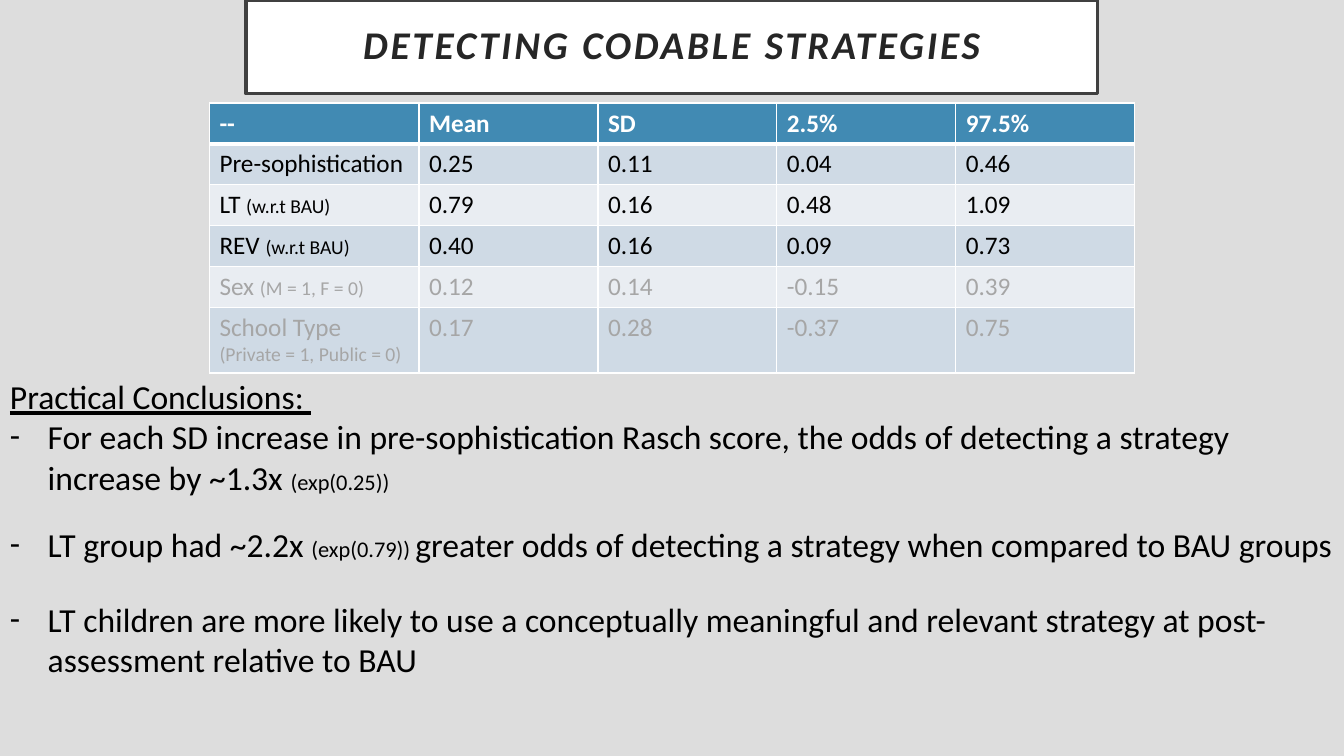
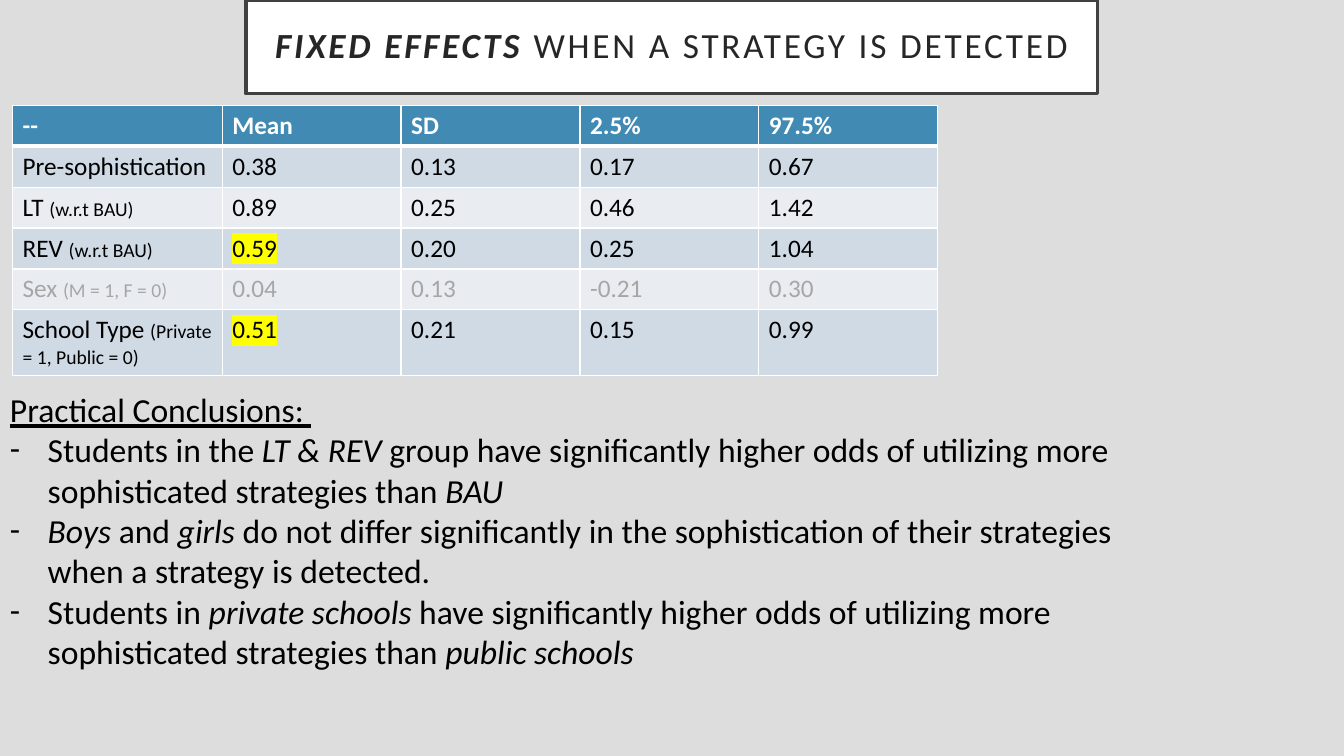
from dataclasses import dataclass
from typing import NamedTuple

import lxml.etree
import pptx
import pptx.dml.color
import pptx.enum.shapes
import pptx.enum.text
import pptx.oxml.ns
import pptx.util

Pt = pptx.util.Pt
qn = pptx.oxml.ns.qn


@dataclass(frozen=True)
class Theme:
    font: str = "Calibri"
    background: str = "DDDDDD"
    white: str = "FFFFFF"
    title_line: str = "404040"
    title_text: str = "262626"
    header: str = "418AB3"
    bands: tuple[str, str] = ("CFDAE5", "E9EDF2")
    text: str = "000000"
    faded: str = "A6A6A6"
    marker: str = "FFFF00"
    body_size: float = 24
    aside_size: float = 16
    cell_size: float = 18
    note_size: float = 14


THEME = Theme()
SLIDE_WIDTH, SLIDE_HEIGHT = 960, 540
TITLE_BOX = (175.7, 0, 608.4, 67)
COLUMN_WIDTHS = (149.7, 127.8, 127.8, 127.8, 127.8)
ROW_HEIGHT, LAST_ROW_HEIGHT = 29.2, 46.8
HEADINGS = ("--", "Mean", "SD", "2.5%", "97.5%")
BULLET_INDENT = 27


class Run(NamedTuple):
    text: str
    size: float = THEME.body_size
    bold: bool = False
    italic: bool = False
    underline: bool = False
    color: str = THEME.text
    highlight: str = ""


class Bullet(NamedTuple):
    runs: list[Run]
    space_before: float = 0


class Effect(NamedTuple):
    label: str
    note: str
    values: tuple[str, str, str, str]
    faded: bool = False
    note_below: bool = False
    mean_marked: bool = False


@dataclass(frozen=True)
class ResultSlide:
    title: list[Run]
    table_left: float
    table_top: float
    effects: list[Effect]
    text_top: float
    text_width: float
    bullets: list[Bullet]


def rgb(color: str) -> pptx.dml.color.RGBColor:
    return pptx.dml.color.RGBColor.from_string(color)


def title_run(text: str, size: float, strong: bool) -> Run:
    return Run(text, size, bold=strong, italic=strong, color=THEME.title_text)


def plain(text: str) -> Run:
    return Run(text)


def italic(text: str) -> Run:
    return Run(text, italic=True)


def aside(text: str) -> Run:
    return Run(text, THEME.aside_size)


def write_runs(paragraph, runs: list[Run], tracking: int = 0) -> None:
    """Add formatted runs; tracking is in hundredths of a point."""
    for item in runs:
        run = paragraph.add_run()
        run.text = item.text
        font = run.font
        font.name = THEME.font
        font.size = Pt(item.size)
        font.bold, font.italic, font.underline = item.bold, item.italic, item.underline
        font.color.rgb = rgb(item.color)
        properties = run._r.get_or_add_rPr()
        if tracking:
            properties.set("spc", str(tracking))
        if item.highlight:
            highlight = lxml.etree.Element(qn("a:highlight"))
            lxml.etree.SubElement(highlight, qn("a:srgbClr"), val=item.highlight)
            properties.find(qn("a:solidFill")).addnext(highlight)


def add_title(slide, runs: list[Run]) -> None:
    shape = slide.shapes.add_shape(
        pptx.enum.shapes.MSO_SHAPE.RECTANGLE, *map(Pt, TITLE_BOX)
    )
    shape.shadow.inherit = False
    shape.fill.solid()
    shape.fill.fore_color.rgb = rgb(THEME.white)
    shape.line.color.rgb = rgb(THEME.title_line)
    shape.line.width = Pt(2.5)
    frame = shape.text_frame
    frame.word_wrap = True
    frame.vertical_anchor = pptx.enum.text.MSO_ANCHOR.MIDDLE
    frame.margin_left = frame.margin_right = Pt(14.4)
    frame.margin_top = frame.margin_bottom = Pt(14.4)
    paragraph = frame.paragraphs[0]
    paragraph.alignment = pptx.enum.text.PP_ALIGN.CENTER
    paragraph.line_spacing = 0.9
    write_runs(paragraph, runs, tracking=200)


def style_cell(cell, fill: str, top: float = 1, bottom: float = 1) -> None:
    properties = cell._tc.get_or_add_tcPr()
    for side, width in (("L", 1), ("R", 1), ("T", top), ("B", bottom)):
        line = lxml.etree.SubElement(properties, qn(f"a:ln{side}"), w=str(Pt(width)))
        solid = lxml.etree.SubElement(line, qn("a:solidFill"))
        lxml.etree.SubElement(solid, qn("a:srgbClr"), val=THEME.white)
    cell.fill.solid()
    cell.fill.fore_color.rgb = rgb(fill)


def write_label(cell, effect: Effect, color: str) -> None:
    frame = cell.text_frame
    paragraph = frame.paragraphs[0]
    write_runs(paragraph, [Run(effect.label, THEME.cell_size, color=color)])
    if effect.note:
        target = frame.add_paragraph() if effect.note_below else paragraph
        write_runs(target, [Run(effect.note, THEME.note_size, color=color)])


def add_effects_table(slide, left: float, top: float, effects: list[Effect]) -> None:
    heights = [ROW_HEIGHT] * len(effects) + [LAST_ROW_HEIGHT]
    table = slide.shapes.add_table(
        len(heights), len(HEADINGS), Pt(left), Pt(top),
        Pt(sum(COLUMN_WIDTHS)), Pt(sum(heights)),
    ).table
    for column, width in zip(table.columns, COLUMN_WIDTHS):
        column.width = Pt(width)
    for row, height in zip(table.rows, heights):
        row.height = Pt(height)

    for index, heading in enumerate(HEADINGS):
        cell = table.cell(0, index)
        style_cell(cell, THEME.header, bottom=3)
        run = Run(heading, THEME.cell_size, bold=True, color=THEME.white)
        write_runs(cell.text_frame.paragraphs[0], [run])

    for row_index, effect in enumerate(effects, start=1):
        color = THEME.faded if effect.faded else THEME.text
        for cell in table.rows[row_index].cells:
            style_cell(cell, THEME.bands[(row_index - 1) % 2], top=3 if row_index == 1 else 1)
        write_label(table.cell(row_index, 0), effect, color)
        for column_index, value in enumerate(effect.values, start=1):
            marked = effect.mean_marked and column_index == 1
            run = Run(value, THEME.cell_size, color=color,
                      highlight=THEME.marker if marked else "")
            write_runs(table.cell(row_index, column_index).text_frame.paragraphs[0], [run])


def add_dash(paragraph) -> None:
    properties = paragraph._p.get_or_add_pPr()
    properties.set("marL", str(Pt(BULLET_INDENT)))
    properties.set("indent", str(-Pt(BULLET_INDENT)))
    lxml.etree.SubElement(properties, qn("a:buFont"), typeface=THEME.font)
    lxml.etree.SubElement(properties, qn("a:buChar"), char="-")


def add_conclusions(slide, top: float, width: float, bullets: list[Bullet]) -> None:
    box = slide.shapes.add_textbox(0, Pt(top), Pt(width), Pt(SLIDE_HEIGHT - top))
    frame = box.text_frame
    frame.word_wrap = True
    write_runs(frame.paragraphs[0], [Run("Practical Conclusions: ", underline=True)])
    for bullet in bullets:
        paragraph = frame.add_paragraph()
        add_dash(paragraph)
        paragraph.space_before = Pt(bullet.space_before)
        write_runs(paragraph, bullet.runs)


def add_result_slide(presentation, content: ResultSlide) -> None:
    slide = presentation.slides.add_slide(presentation.slide_layouts[6])
    slide.background.fill.solid()
    slide.background.fill.fore_color.rgb = rgb(THEME.background)
    add_title(slide, content.title)
    add_effects_table(slide, content.table_left, content.table_top, content.effects)
    add_conclusions(slide, content.text_top, content.text_width, content.bullets)


GROUP_NOTE = "(w.r.t BAU)"
SEX_NOTE = "(M = 1, F = 0)"
SCHOOL_NOTE = "(Private = 1, Public = 0)"

RESULT_SLIDES = [
    ResultSlide(
        title=[title_run("DETECTING CODABLE STRATEGIES", 28, strong=True)],
        table_left=149.6,
        table_top=73.6,
        effects=[
            Effect("Pre-sophistication", "", ("0.25", "0.11", "0.04", "0.46")),
            Effect("LT ", GROUP_NOTE, ("0.79", "0.16", "0.48", "1.09")),
            Effect("REV ", GROUP_NOTE, ("0.40", "0.16", "0.09", "0.73")),
            Effect("Sex ", SEX_NOTE, ("0.12", "0.14", "-0.15", "0.39"), faded=True),
            Effect("School Type", SCHOOL_NOTE, ("0.17", "0.28", "-0.37", "0.75"),
                   faded=True, note_below=True),
        ],
        text_top=265,
        text_width=SLIDE_WIDTH,
        bullets=[
            Bullet([plain("For each SD increase in pre-sophistication Rasch score, the odds "
                          "of detecting a strategy increase by ~1.3x "),
                    aside("(exp(0.25))")]),
            Bullet([plain("LT group had ~2.2x "), aside("(exp(0.79)) "),
                    plain("greater odds of detecting a strategy when compared to BAU groups")],
                   space_before=19.5),
            Bullet([plain("LT children are more likely to use a conceptually meaningful and "
                          "relevant strategy at post-assessment relative to BAU")],
                   space_before=24.4),
        ],
    ),
    ResultSlide(
        title=[title_run("FIXED EFFECTS ", 25.2, strong=True),
               title_run("WHEN A STRATEGY IS DETECTED", 25.2, strong=False)],
        table_left=9,
        table_top=75.3,
        effects=[
            Effect("Pre-sophistication", "", ("0.38", "0.13", "0.17", "0.67")),
            Effect("LT ", GROUP_NOTE, ("0.89", "0.25", "0.46", "1.42")),
            Effect("REV ", GROUP_NOTE, ("0.59", "0.20", "0.25", "1.04"), mean_marked=True),
            Effect("Sex ", SEX_NOTE, ("0.04", "0.13", "-0.21", "0.30"), faded=True),
            Effect("School Type ", SCHOOL_NOTE, ("0.51", "0.21", "0.15", "0.99"),
                   mean_marked=True),
        ],
        text_top=274.3,
        text_width=833.8,
        bullets=[
            Bullet([plain("Students in the "), italic("LT & REV"),
                    plain(" group have significantly higher odds of utilizing more "
                          "sophisticated strategies than "),
                    italic("BAU")]),
            Bullet([italic("Boys"), plain(" and "), italic("girls"),
                    plain(" do not differ significantly in the sophistication of their "
                          "strategies when a strategy is detected.")]),
            Bullet([plain("Students in "), italic("private schools "),
                    plain("have significantly higher odds of utilizing more "
                          "sophisticated strategies than "),
                    italic("public schools")]),
        ],
    ),
]


def main() -> None:
    presentation = pptx.Presentation()
    presentation.slide_width = Pt(SLIDE_WIDTH)
    presentation.slide_height = Pt(SLIDE_HEIGHT)
    for content in RESULT_SLIDES:
        add_result_slide(presentation, content)
    presentation.save("out.pptx")


if __name__ == "__main__":
    main()
